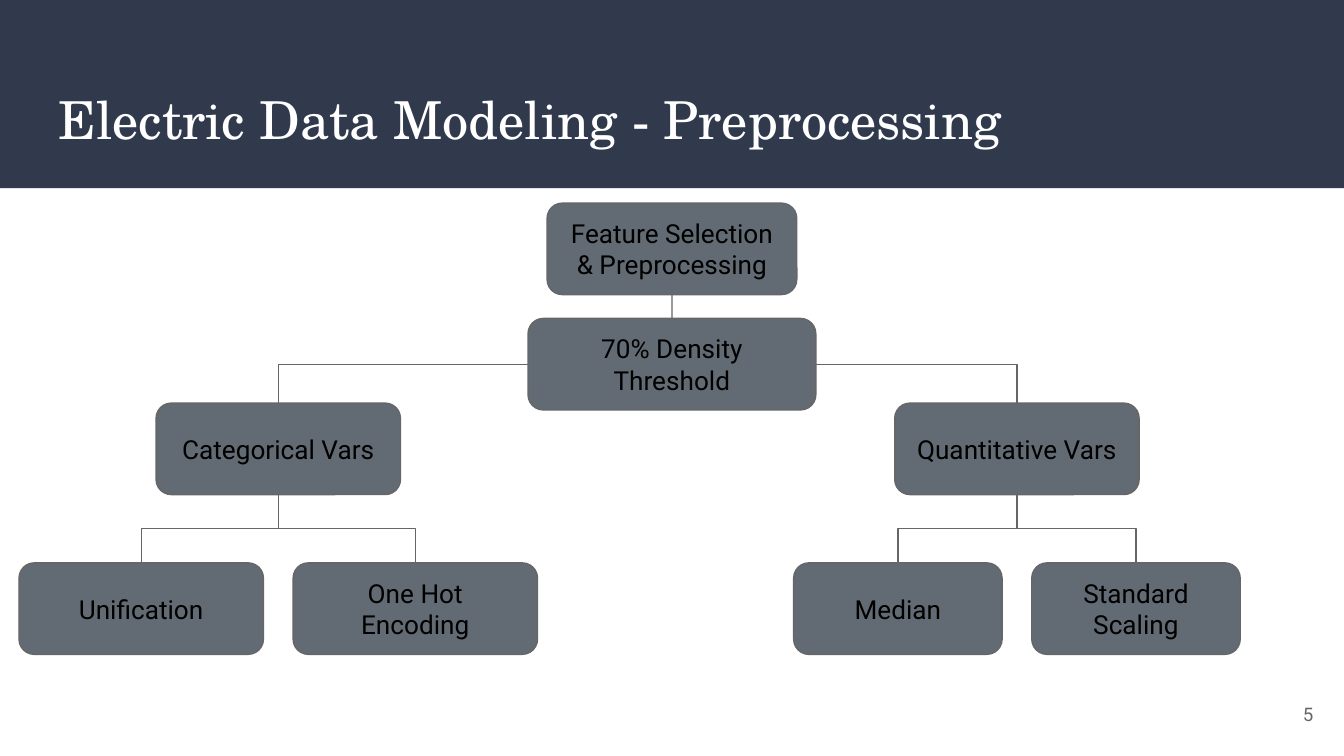
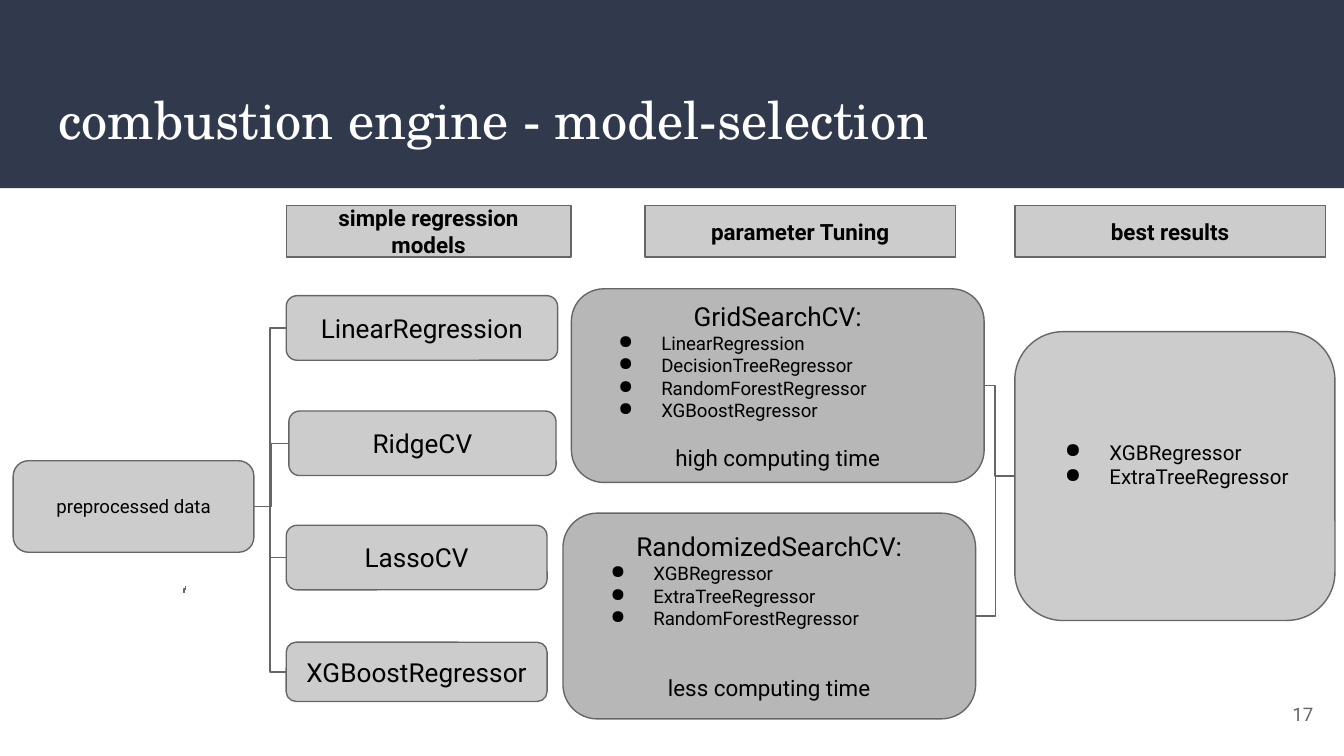
from lxml.etree import SubElement
from pptx import Presentation
from pptx.dml.color import RGBColor
from pptx.enum.shapes import MSO_CONNECTOR, MSO_SHAPE
from pptx.enum.text import MSO_ANCHOR, PP_ALIGN
from pptx.oxml.ns import qn
from pptx.util import Cm, Pt

NAVY, SLATE, LIGHT, MID = "31394D", "626B73", "CCCCCC", "B7B7B7"
GREY, BLACK, WHITE = "666666", "000000", "FFFFFF"
BODY, HEAD = "Roboto", "TeX Gyre Schola"
TOP, LEFT, BOTTOM, RIGHT = range(4)  # connection sites of a box


def rgb(value):
    return RGBColor.from_string(value)


def line(text, size=14, **fmt):
    """One paragraph: text, size, and any of bold, color, font, align, hang, before."""
    return {"text": text, "size": size, **fmt}


def bullets(names, size, hang):
    return [line(name, size, hang=hang, align=PP_ALIGN.LEFT) for name in names]


class Deck:
    def __init__(self):
        self.prs = Presentation()
        self.prs.slide_width, self.prs.slide_height = Cm(25.4), Cm(14.29)
        self.s = None

    def slide(self, title, number):
        """Start a slide with its band, title and page number."""
        self.s = self.prs.slides.add_slide(self.prs.slide_layouts[6])
        self.box((0, 0, 25.4, 3.56), [], NAVY, MSO_SHAPE.RECTANGLE, outline=None)
        self.text((0.86, 1.4, 23.67, 1.73), MSO_ANCHOR.TOP,
                  line(title, 28, font=HEAD, color=WHITE, align=PP_ALIGN.LEFT))
        self.text((23.55, 12.95, 1.52, 1.09), MSO_ANCHOR.MIDDLE,
                  line(str(number), 10, color=GREY, align=PP_ALIGN.RIGHT))

    def text(self, at, anchor, para):
        sp = self.s.shapes.add_textbox(*map(Cm, at))
        self.fill_text(sp.text_frame, [para], anchor)

    def box(self, at, paras, fill, kind=MSO_SHAPE.ROUNDED_RECTANGLE, outline=GREY,
            bottom=0.25):
        sp = self.s.shapes.add_shape(kind, *map(Cm, at))
        sp.shadow.inherit = False
        sp.fill.solid()
        sp.fill.fore_color.rgb = rgb(fill)
        if outline:
            sp.line.color.rgb = rgb(outline)
            sp.line.width = Pt(0.75)
        else:
            sp.line.fill.background()
        self.fill_text(sp.text_frame, paras, MSO_ANCHOR.MIDDLE, bottom)
        return sp

    def fill_text(self, tf, paras, anchor, bottom=0.25):
        frame = {"word_wrap": True, "vertical_anchor": anchor,
                 "margin_left": Cm(0.25), "margin_right": Cm(0.25),
                 "margin_top": Cm(0.25), "margin_bottom": Cm(bottom)}
        for name, value in frame.items():
            setattr(tf, name, value)
        for i, para in enumerate(paras):
            p = tf.paragraphs[0] if i == 0 else tf.add_paragraph()
            p.alignment = para.get("align", PP_ALIGN.CENTER)
            if "before" in para:
                p.space_before = Pt(para["before"])
            if "hang" in para:
                self.bullet(p, para["hang"])
            r = p.add_run()
            r.text = para["text"]
            font = {"size": Pt(para["size"]), "name": para.get("font", BODY),
                    "bold": para.get("bold", False)}
            for name, value in font.items():
                setattr(r.font, name, value)
            r.font.color.rgb = rgb(para.get("color", BLACK))

    def bullet(self, p, hang):
        pPr = p._p.get_or_add_pPr()
        pPr.set("marL", str(Cm(1.27)))
        pPr.set("indent", str(-Cm(hang)))
        clr = SubElement(pPr, qn("a:buClr"))
        SubElement(clr, qn("a:srgbClr")).set("val", BLACK)
        SubElement(pPr, qn("a:buChar")).set("char", "●")

    def connector(self, kind, points=(0, 0, 0, 0)):
        c = self.s.shapes.add_connector(kind, *map(Cm, points))
        c.line.color.rgb = rgb(GREY)
        c.line.width = Pt(0.75)
        SubElement(c._element.spPr, qn("a:effectLst"))
        return c

    def link(self, start, end, sites=(RIGHT, LEFT), kind=MSO_CONNECTOR.ELBOW):
        c = self.connector(kind)
        c.begin_connect(start, sites[0])
        c.end_connect(end, sites[1])
        return c

    def corner(self, start, end, side):
        """Connector with a single bend, from a side of start to the top of end."""
        c = self.link(start, end, (side, TOP))
        c._element.spPr.find(qn("a:prstGeom")).set("prst", "bentConnector2")

    def shift_bend(self, c, share):
        geom = c._element.spPr.find(qn("a:prstGeom"))
        guides = geom.find(qn("a:avLst"))
        if guides is None:
            guides = SubElement(geom, qn("a:avLst"))
        gd = SubElement(guides, qn("a:gd"))
        gd.set("name", "adj1")
        gd.set("fmla", f"val {round(share * 100000)}")

    def upright(self, c):
        """Turn an elbow that runs upwards so that it leaves vertically."""
        x1, y1, x2, y2 = c.begin_x, c.begin_y, c.end_x, c.end_y
        width, height = abs(y2 - y1), abs(x2 - x1)
        c.left, c.top = (x1 + x2 - width) // 2, (y1 + y2 - height) // 2
        c.width, c.height = width, height
        xfrm = c._element.spPr.find(qn("a:xfrm"))
        for flip in ("flipH", "flipV"):
            xfrm.attrib.pop(flip, None)
        xfrm.set("rot", str((270 if x1 < x2 else 90) * 60000))
        if x1 > x2:
            xfrm.set("flipH", "1")


def preprocessing(deck):
    deck.slide("Electric Data Modeling - Preprocessing", 5)

    def node(text, center, top, width):
        return deck.box((center - width / 2, top, width, 1.73), [line(text)], SLATE)

    # Trunk
    root = node("Feature Selection & Preprocessing", 12.7, 3.84, 4.72)
    threshold = node("70% Density Threshold", 12.7, 6.02, 5.44)
    deck.link(root, threshold, (BOTTOM, TOP), MSO_CONNECTOR.STRAIGHT)

    # Branches: name, centre, side, leaf names, leaf offset, leaf width
    branches = [
        ("Categorical Vars", 5.26, LEFT, ("Unification", "One Hot Encoding"), 2.59, 4.62),
        ("Quantitative Vars", 19.22, RIGHT, ("Median", "Standard Scaling"), 2.25, 3.94),
    ]
    for name, center, side, leaves, offset, width in branches:
        parent = node(name, center, 7.62, 4.62)
        deck.corner(threshold, parent, side)
        for leaf, sign in zip(leaves, (-1, 1)):
            child = node(leaf, center + sign * offset, 10.64, width)
            deck.upright(deck.link(child, parent, (TOP, BOTTOM)))


def model_selection(deck):
    deck.slide("combustion engine - model-selection", 17)

    # Column headings
    for text, x, width in [("simple regression models", 5.41, 5.38),
                           ("parameter Tuning", 12.19, 5.87),
                           ("best results", 19.18, 5.87)]:
        deck.box((x, 3.89, width, 0.97), [line(text, 12, bold=True)], LIGHT,
                 MSO_SHAPE.RECTANGLE)

    # Simple models fed by the data
    data = deck.box((0.25, 8.71, 4.55, 1.73), [line("preprocessed data", 10)], LIGHT)
    for name, *at in [("LinearRegression", 5.41, 5.59, 5.13, 1.22),
                      ("RidgeCV", 5.46, 7.77, 5.05, 1.22),
                      ("LassoCV", 5.41, 9.93, 4.93, 1.22),
                      ("XGBoostRegressor", 5.41, 12.14, 4.93, 1.12)]:
        deck.link(data, deck.box(at, [line(name)], LIGHT))
    deck.upright(deck.connector(MSO_CONNECTOR.ELBOW, (3.48, 11.2, 3.51, 11.07)))

    # Best results
    best = deck.box((19.18, 6.27, 6.05, 5.46),
                    bullets(["XGBRegressor", "ExtraTreeRegressor"], 11, 0.84),
                    LIGHT, bottom=0.7)

    # Parameter searches: title, place, models, closing remark, gap above it, bend
    searches = [
        ("GridSearchCV:", (10.8, 5.46, 7.8, 3.66),
         ["LinearRegression", "DecisionTreeRegressor", "RandomForestRegressor",
          "XGBoostRegressor"], "high computing time", 12, 0.36),
        ("RandomizedSearchCV:", (10.64, 9.7, 7.8, 3.89),
         ["XGBRegressor", "ExtraTreeRegressor", "RandomForestRegressor"],
         "less computing time", 24, 0.5),
    ]
    for title, at, models, remark, gap, bend in searches:
        paras = [line(title), *bullets(models, 10, 0.81), line(remark, 12, before=gap)]
        search = deck.box(at, paras, MID)
        deck.shift_bend(deck.link(search, best), bend)


def main():
    deck = Deck()
    preprocessing(deck)
    model_selection(deck)
    deck.prs.save("out.pptx")


if __name__ == "__main__":
    main()
